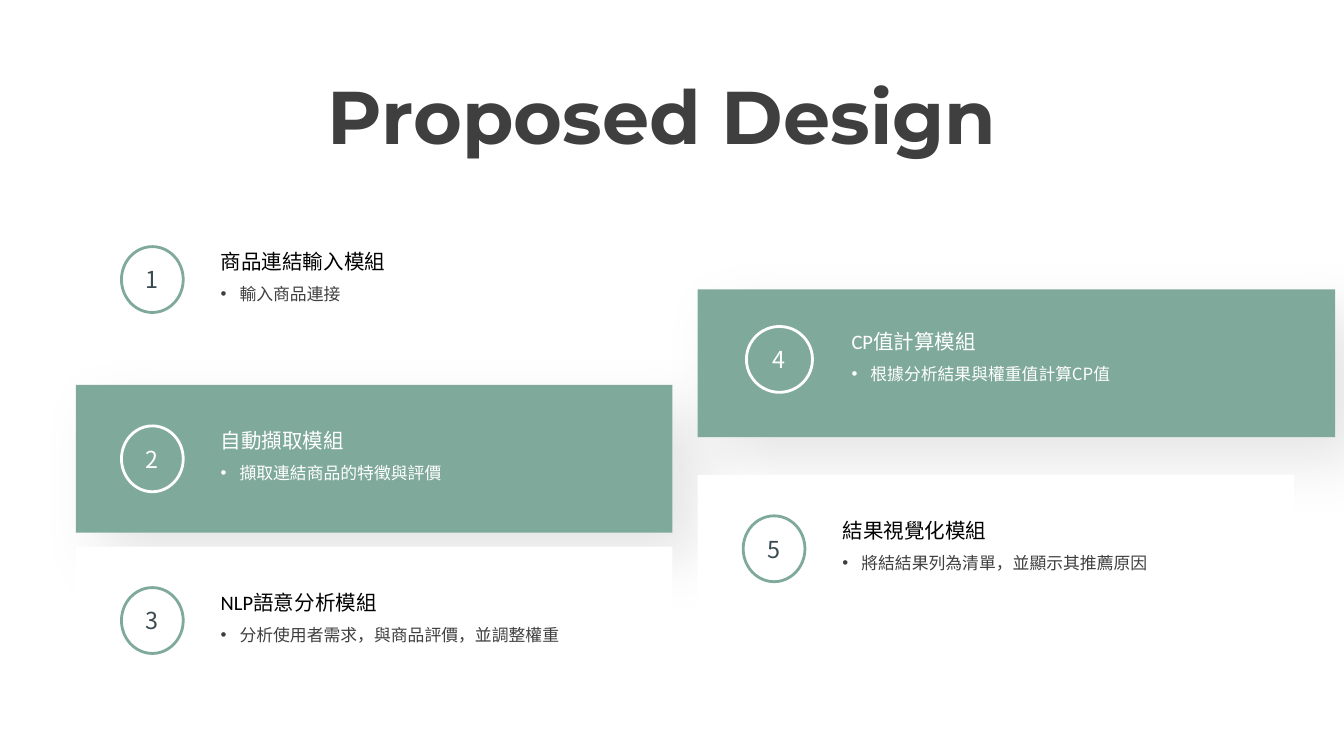
from lxml import etree
from pptx import Presentation
from pptx.dml import color
from pptx.enum import shapes, text
from pptx.oxml import ns
from pptx.util import Inches, Pt

# Grid of 1000 columns by 562.5 rows, a 16:9 slide
CELL = Inches(0.01)
COLUMNS, ROWS = 1000, 562.5
CARD_WIDTH, CARD_HEIGHT = 444, 110
COLORS = {"green": "7FA99B", "white": "FFFFFF", "black": "000000",
          "slate": "394B51", "gray": "3F3F3F"}
BODY_FONT, HEADING_FONT, TITLE_FONT = "Noto Sans CJK SC", "Calibri", "Montserrat"

LIGHT = {"panel": "white", "ring": "green", "number": "slate",
         "heading": "black", "body": "gray"}
DARK = {"panel": "green", "ring": "white", "number": "white",
        "heading": "white", "body": "white"}
OPEN = {**LIGHT, "panel": None}

# Box, palette, text columns, heading, bullet, rows the content is lifted
CARDS = [
    ((56.4, 153, CARD_WIDTH, CARD_HEIGHT), OPEN, 144,
     "商品連結輸入模組", "輸入商品連接", 0),
    ((56.4, 286.4, CARD_WIDTH, CARD_HEIGHT), DARK, 186,
     "自動擷取模組", "擷取連結商品的特徵與評價", 0),
    ((56.4, 406.7, CARD_WIDTH, CARD_HEIGHT), LIGHT, 274,
     "NLP語意分析模組", "分析使用者需求，與商品評價，並調整權重", 0),
    ((519, 215.4, 474.5, CARD_HEIGHT), DARK, 215,
     "CP值計算模組", "根據分析結果與權重值計算CP值", 3),
    ((519, 353.3, CARD_WIDTH, CARD_HEIGHT), LIGHT, 249,
     "結果視覺化模組", "將結結果列為清單，並顯示其推薦原因", 0),
]


def rgb(name):
    return color.RGBColor.from_string(COLORS[name])


def cells(*lengths):
    return [round(length * CELL) for length in lengths]


def add_element(parent, tag, **attributes):
    return etree.SubElement(parent, ns.qn(tag), attributes)


def add_run(paragraph, words, size, font, color_name, bold=False):
    run = paragraph.add_run()
    run.text = words
    run.font.size, run.font.name, run.font.bold = Pt(size), font, bold
    run.font.color.rgb = rgb(color_name)
    add_element(run.font._element, "a:ea", typeface=BODY_FONT)


def add_text_frame(slide, box):
    frame = slide.shapes.add_textbox(*cells(*box)).text_frame
    frame.word_wrap = True
    frame.auto_size = text.MSO_AUTO_SIZE.SHAPE_TO_FIT_TEXT
    return frame


def add_bullet(paragraph, color_name):
    properties = paragraph._p.get_or_add_pPr()
    properties.set("marL", str(Inches(0.14)))
    properties.set("indent", str(-Inches(0.14)))
    add_element(add_element(properties, "a:buClr"), "a:srgbClr",
                val=COLORS[color_name])
    add_element(properties, "a:buFont", typeface="Arial")
    add_element(properties, "a:buChar", char="•")


def add_soft_shadow(shape):
    effects = shape._element.spPr.find(ns.qn("a:effectLst"))
    shadow = add_element(effects, "a:outerShdw", blurRad=str(Pt(33)),
                         dist=str(Pt(19)), dir=str(45 * 60000),
                         algn="tl", rotWithShape="0")
    tone = add_element(shadow, "a:srgbClr", val=COLORS["black"])
    add_element(tone, "a:alpha", val="9000")


def add_panel(slide, box, color_name):
    panel = slide.shapes.add_shape(shapes.MSO_SHAPE.RECTANGLE, *cells(*box))
    panel.shadow.inherit = False
    panel.fill.solid()
    panel.fill.fore_color.rgb = rgb(color_name)
    panel.line.fill.background()
    if color_name == "green":
        add_soft_shadow(panel)


def add_badge(slide, box, number, palette):
    badge = slide.shapes.add_shape(shapes.MSO_SHAPE.OVAL, *cells(*box))
    badge.shadow.inherit = False
    badge.fill.background()
    badge.line.color.rgb = rgb(palette["ring"])
    badge.line.width = Pt(1.5)
    badge.text_frame.vertical_anchor = text.MSO_ANCHOR.MIDDLE
    paragraph = badge.text_frame.paragraphs[0]
    paragraph.alignment = text.PP_ALIGN.CENTER
    add_run(paragraph, str(number), 12.5, BODY_FONT, palette["number"])


def add_card(slide, box, number, palette, text_width, heading, detail, lift):
    left, top, width, _ = box
    stretch = width / CARD_WIDTH
    content_top = top - lift
    if palette["panel"]:
        add_panel(slide, box, palette["panel"])
    add_badge(slide, (left + 34 * stretch, content_top + 30.5, 46 * stretch, 49),
              number, palette)

    # Heading and bullet
    frame = add_text_frame(
        slide, (left + 98 * stretch, content_top + 18, text_width, 61))
    first, second = frame.paragraphs[0], frame.add_paragraph()
    first.line_spacing = second.line_spacing = 1.5
    add_run(first, heading, 11, HEADING_FONT, palette["heading"])
    add_bullet(second, palette["body"])
    add_run(second, detail, 9, BODY_FONT, palette["body"])


def add_title(slide, box):
    paragraph = add_text_frame(slide, box).paragraphs[0]
    paragraph.alignment = text.PP_ALIGN.CENTER
    add_run(paragraph, "Proposed Design ", 40, TITLE_FONT, "gray", bold=True)


def main():
    presentation = Presentation()
    presentation.slide_width, presentation.slide_height = cells(COLUMNS, ROWS)
    slide = presentation.slides.add_slide(presentation.slide_layouts[6])
    for number, (box, *content) in enumerate(CARDS, start=1):
        add_card(slide, box, number, *content)
    add_title(slide, (42, 47.4, 917, 77))
    presentation.save("out.pptx")


if __name__ == "__main__":
    main()
